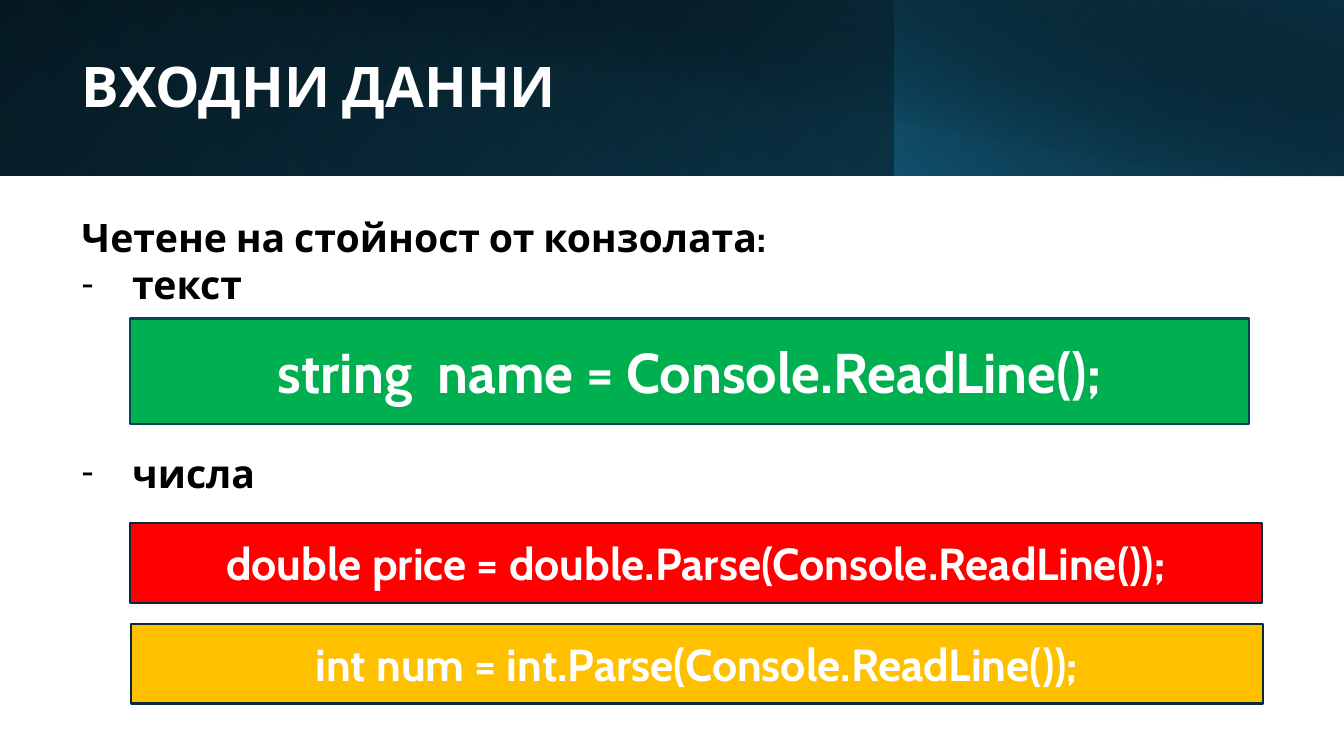
from dataclasses import dataclass

from lxml import etree
from pptx import Presentation
from pptx import util as u
from pptx.dml.color import RGBColor
from pptx.enum import shapes, text
from pptx.oxml.ns import qn


@dataclass(frozen=True)
class Theme:
    font: str = "Cabin"
    white: str = "FFFFFF"
    black: str = "000000"
    teal: str = "156082"
    deep: str = "0B3041"
    sea: str = "104862"
    green: str = "00B050"
    red: str = "FF0000"
    gold: str = "FFC000"
    edge: str = "07455D"
    dark: str = "092A39"
    big: int = 40
    mid: int = 32
    base: int = 28


T = Theme()
WIDE, HIGH = u.Inches(13.33), u.Inches(7.5)


def box(x, y, w, h):
    """Turn percentages of the slide into left, top, width, height."""
    sides = ((x, WIDE), (y, HIGH), (w, WIDE), (h, HIGH))
    return [int(part * side / 100) for part, side in sides]


def assign(item, values):
    for name, value in values.items():
        setattr(item, name, value)


def place(shape, area):
    assign(shape, dict(zip(("left", "top", "width", "height"), box(*area))))


def write(para, words, size, color, **look):
    assign(para, {"space_before": u.Pt(0), "space_after": u.Pt(0), **look})
    run = para.add_run()
    run.text = words
    assign(run.font, {"name": T.font, "size": u.Pt(size), "bold": True})
    run.font.color.rgb = RGBColor.from_string(color)


def rect(slide, area):
    shape = slide.shapes.add_shape(shapes.MSO_SHAPE.RECTANGLE, *box(*area))
    shape.shadow.inherit = False
    return shape


def band(slide, area, angle, stops, flip=True, turn=0):
    """Gradient layer; each stop is position, colour, opacity in percent."""
    shape = rect(slide, area)
    shape.rotation = turn
    shape.line.fill.background()
    shape.fill.gradient()
    shape.fill.gradient_angle = 360 - angle
    for stop, (pos, color, _) in zip(shape.fill.gradient_stops, stops):
        stop.position = pos / 100
        stop.color.rgb = RGBColor.from_string(color)
    props = shape._element.spPr
    for tint, (_, _, clear) in zip(props.iter(qn("a:srgbClr")), stops):
        etree.SubElement(tint, qn("a:alpha"), val=str(clear * 1000))
    if flip:
        props.find(qn("a:xfrm")).set("flipH", "1")


def header(slide):
    band(slide, (0, 0, 100, 23.2), 140,
         [(0, T.black, 100), (100, T.sea, 100)])
    band(slide, (0, 0, 66.6, 23.2), 230,
         [(20, T.teal, 0), (100, T.deep, 55)], turn=180)
    band(slide, (66.54, 0, 33.46, 23.2), 220,
         [(0, T.teal, 66), (100, T.black, 30)])
    band(slide, (3.75, 0, 96.25, 23.33), 280,
         [(50, T.black, 0), (99, T.deep, 52)], flip=False)


def title(slide, words):
    shape = slide.shapes.title
    place(shape, (5.33, 4.27, 91.97, 15.07))
    frame = shape.text_frame
    assign(frame, {"vertical_anchor": text.MSO_ANCHOR.MIDDLE,
                   "auto_size": text.MSO_AUTO_SIZE.NONE, "word_wrap": True})
    write(frame.paragraphs[0], words, T.big, T.white,
          alignment=text.PP_ALIGN.LEFT, line_spacing=0.9)


def bullet(para, mark):
    props = para._p.get_or_add_pPr()
    inset = u.Inches(0.5) if mark else 0
    props.set("marL", str(inset))
    props.set("indent", str(-inset))
    if mark:
        etree.SubElement(props, qn("a:buFont"), typeface="Calibri")
        etree.SubElement(props, qn("a:buChar"), char=mark)
    else:
        etree.SubElement(props, qn("a:buNone"))


def body(slide, rows):
    """Each row is its words, bullet mark and space above in points."""
    shape = slide.placeholders[1]
    place(shape, (5.33, 27.6, 90.4, 64.13))
    frame = shape.text_frame
    assign(frame, {"vertical_anchor": text.MSO_ANCHOR.TOP,
                   "auto_size": text.MSO_AUTO_SIZE.NONE, "word_wrap": True})
    for i, (words, mark, gap) in enumerate(rows):
        para = frame.add_paragraph() if i else frame.paragraphs[0]
        write(para, words, T.base, T.black, space_before=u.Pt(gap),
              alignment=text.PP_ALIGN.LEFT, line_spacing=1.0)
        bullet(para, mark)


def code(slide, area, words, fill, edge, size):
    shape = rect(slide, area)
    shape.fill.solid()
    shape.fill.fore_color.rgb = RGBColor.from_string(fill)
    shape.line.color.rgb = RGBColor.from_string(edge)
    shape.line.width = u.Pt(1.5)
    frame = shape.text_frame
    assign(frame, {"vertical_anchor": text.MSO_ANCHOR.MIDDLE,
                   "word_wrap": True})
    write(frame.paragraphs[0], words, size, T.white,
          alignment=text.PP_ALIGN.CENTER)


def main():
    deck = Presentation()
    assign(deck, {"slide_width": WIDE, "slide_height": HIGH})
    slide = deck.slides.add_slide(deck.slide_layouts[1])

    # Header layers go behind the placeholders
    header(slide)
    for holder in list(slide.placeholders):
        slide.shapes._spTree.append(holder._element)

    # Title and list
    title(slide, "ВХОДНИ ДАННИ")
    body(slide, [("Четене на стойност от конзолата:", "", 0),
                 ("текст", "-", 0),
                 ("числа", "-", 100.7)])

    # Code samples
    code(slide, (9.68, 42.13, 83.27, 14),
         "string  name = Console.ReadLine();", T.green, T.edge, T.big)
    code(slide, (9.68, 69.2, 84.25, 10.53),
         "double price = double.Parse(Console.ReadLine());",
         T.red, T.dark, T.mid)
    code(slide, (9.75, 82.53, 84.25, 10.53),
         "int num = int.Parse(Console.ReadLine());", T.gold, T.dark, T.mid)

    deck.save("out.pptx")


if __name__ == "__main__":
    main()
